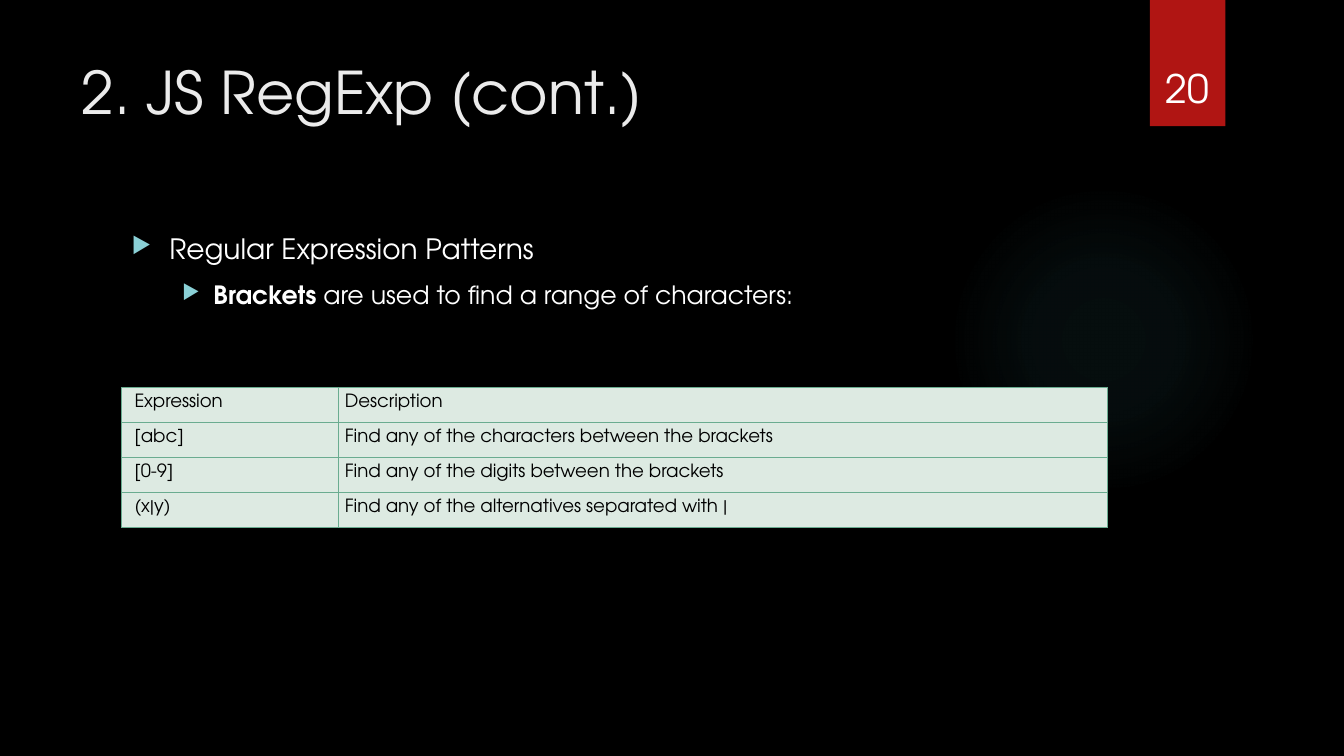
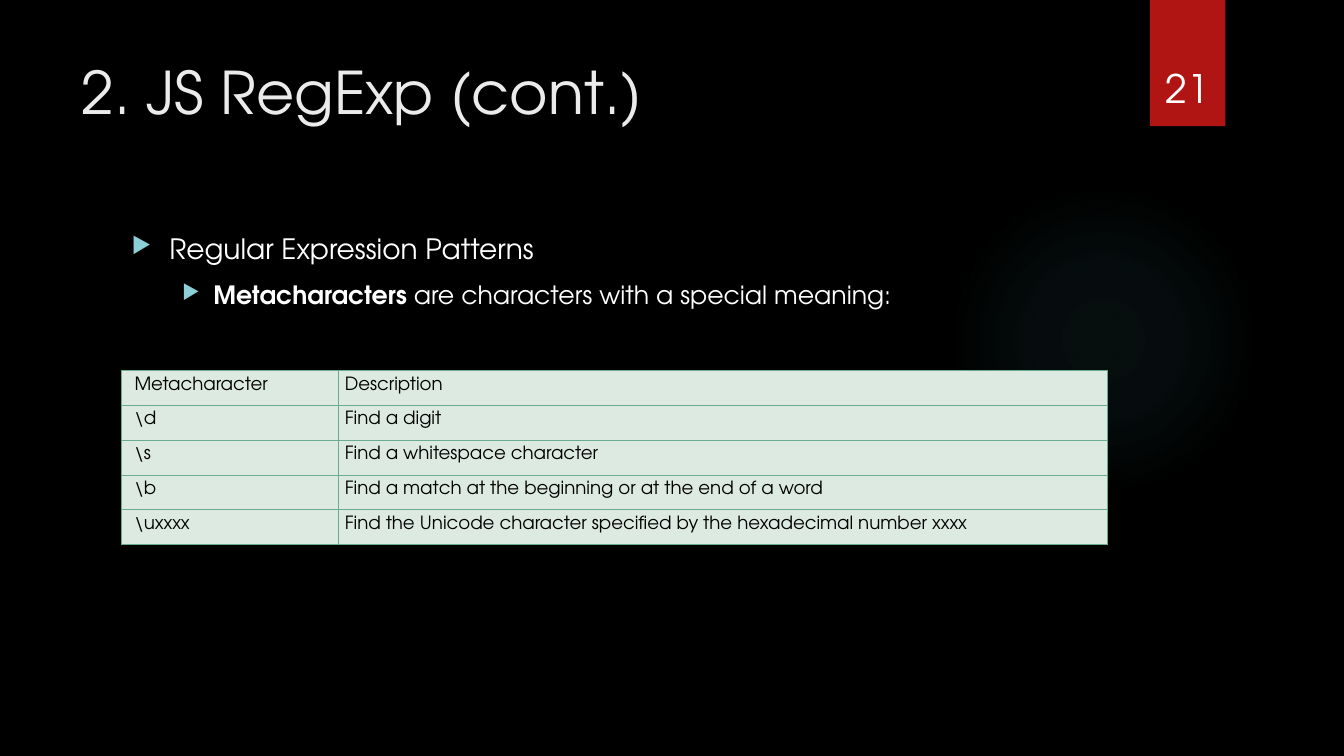
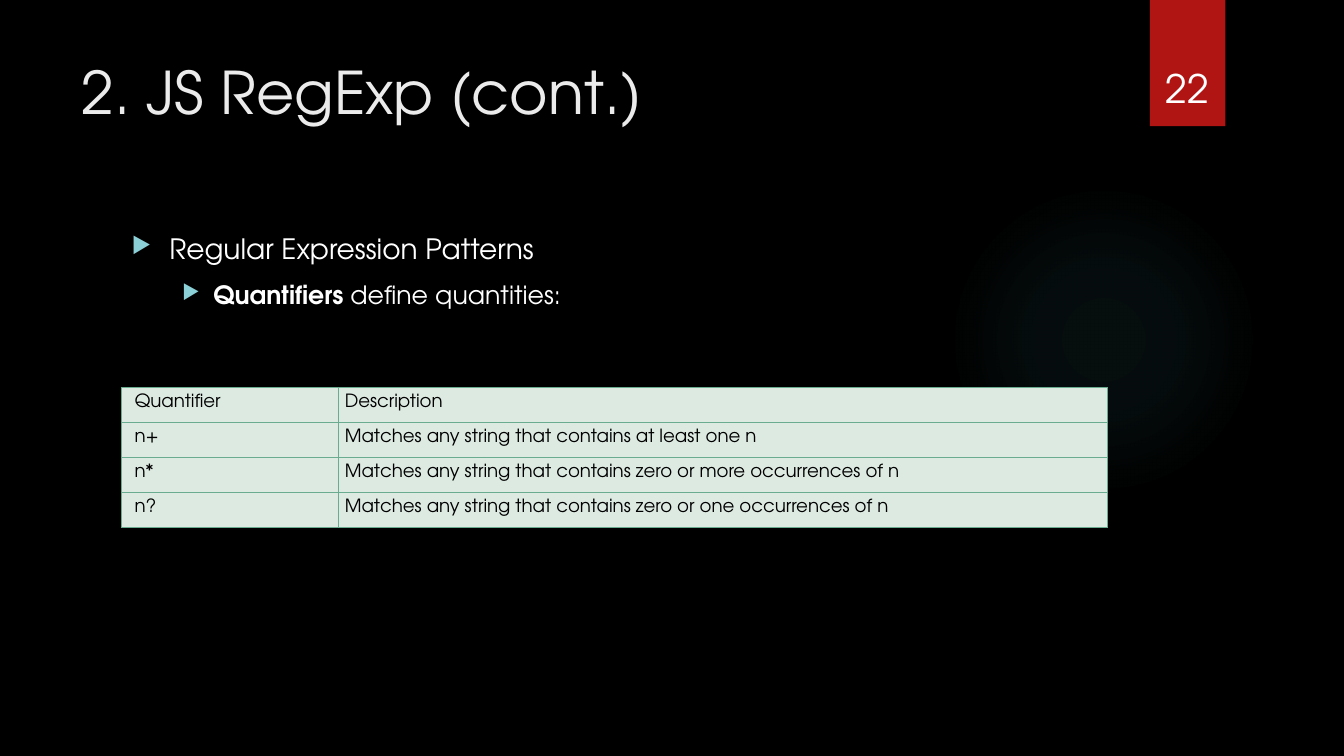
from lxml import etree
from pptx import Presentation
from pptx.dml.color import RGBColor
from pptx.enum import shapes, text
from pptx.oxml import parse_xml
from pptx.oxml import ns
from pptx.util import Cm, Pt

FONT = "TeX Gyre Adventor"
BLACK = RGBColor(0x00, 0x00, 0x00)
WHITE = RGBColor(0xFF, 0xFF, 0xFF)
TITLE_GREY = RGBColor(0xEB, 0xEB, 0xEB)
BADGE_RED = RGBColor(0xB0, 0x15, 0x13)
GLOW_TEAL = RGBColor(0x50, 0xB9, 0xC1)
BULLET_TEAL = RGBColor(0x8A, 0xD0, 0xD6)
CELL_MINT = RGBColor(0xDD, 0xEA, 0xE2)
BORDER_GREEN = RGBColor(0x6A, 0xAC, 0x90)

TITLE = "2. JS RegExp (cont.)"
TOPIC = "Regular Expression Patterns"
FIRST_NUMBER = 20
CONTENT_LEFT, CONTENT_WIDTH = Cm(3.07), Cm(24.84)
TABLE_MIDDLE = Cm(11.53)
ROW_HEIGHT = Cm(0.88)
COLUMN_WIDTHS = (Cm(5.46), Cm(19.38))
CELL_INSET = Cm(0.16)
FIRST_COLUMN_INSET = Cm(0.32)

# Each page: bold term, rest of the sentence, table rows
PAGES = [
    ("Brackets", " are used to find a range of characters:", [
        ("Expression", "Description"),
        ("[abc]", "Find any of the characters between the brackets"),
        ("[0-9]", "Find any of the digits between the brackets"),
        ("(x|y)", "Find any of the alternatives separated with |"),
    ]),
    ("Metacharacters", " are characters with a special meaning:", [
        ("Metacharacter", "Description"),
        (r"\d", "Find a digit"),
        (r"\s", "Find a whitespace character"),
        (r"\b", "Find a match at the beginning or at the end of a word"),
        (r"\uxxxx", "Find the Unicode character specified by the hexadecimal number xxxx"),
    ]),
    ("Quantifiers", " define quantities:", [
        ("Quantifier", "Description"),
        ("n+", "Matches any string that contains at least one n"),
        ("n*", "Matches any string that contains zero or more occurrences of n"),
        ("n?", "Matches any string that contains zero or one occurrences of n"),
    ]),
]


def drawing(markup):
    """Parse DrawingML whose root element carries the a: prefix."""
    head, gap, rest = markup.partition(" ")
    return parse_xml(f"{head} {ns.nsdecls('a')}{gap}{rest}")


def style_font(para, size, color):
    para.font.name = FONT
    para.font.size = Pt(size)
    para.font.color.rgb = color


def add_plain_shape(page, kind, left, top, width, height):
    shape = page.shapes.add_shape(kind, left, top, width, height)
    shape.shadow.inherit = False
    shape.line.fill.background()
    return shape


def add_glow(page):
    """Add the faint radial light on the right."""
    glow = add_plain_shape(page, shapes.MSO_SHAPE.OVAL,
                           Cm(23.9), Cm(4.65), Cm(7.82), Cm(7.82))
    glow.fill.background()
    stops = "".join(
        f'<a:gs pos="{position * 1000}"><a:srgbClr val="{GLOW_TEAL}">'
        f'<a:alpha val="{alpha * 1000}"/></a:srgbClr></a:gs>'
        for position, alpha in ((0, 7), (36, 6), (69, 0), (100, 0)))
    gradient = drawing(
        f'<a:gradFill rotWithShape="1"><a:gsLst>{stops}</a:gsLst>'
        '<a:path path="circle"><a:fillToRect l="50000" t="50000" r="50000" b="50000"/>'
        '</a:path></a:gradFill>')
    properties = glow._element.spPr
    properties.replace(properties.find(ns.qn("a:noFill")), gradient)


def add_badge(page, number):
    """Add the red tab with the page number."""
    tab = add_plain_shape(page, shapes.MSO_SHAPE.RECTANGLE,
                          Cm(28.98), 0, Cm(1.9), Cm(3.18))
    tab.fill.solid()
    tab.fill.fore_color.rgb = BADGE_RED
    effects = tab._element.spPr.find(ns.qn("a:effectLst"))
    effects.append(drawing(
        f'<a:outerShdw blurRad="{Pt(3)}" dist="{Pt(2)}" dir="5400000" rotWithShape="0">'
        f'<a:srgbClr val="{BLACK}"><a:alpha val="45000"/></a:srgbClr></a:outerShdw>'))

    box = page.shapes.add_textbox(Cm(28.75), Cm(0.81), Cm(2.34), Cm(2.13))
    box.text_frame.word_wrap = True
    box.text_frame.vertical_anchor = text.MSO_ANCHOR.BOTTOM
    para = box.text_frame.paragraphs[0]
    para.text = str(number)
    para.alignment = text.PP_ALIGN.CENTER
    style_font(para, 28, WHITE)


def set_title(page):
    title = page.shapes.title
    title.left, title.top, title.width, title.height = Cm(1.8), Cm(1.27), Cm(26.14), Cm(3.89)
    frame = title.text_frame
    frame.text = TITLE
    frame.vertical_anchor = text.MSO_ANCHOR.TOP
    para = frame.paragraphs[0]
    para.alignment = text.PP_ALIGN.LEFT
    style_font(para, 42, TITLE_GREY)


def format_bullet(para, level, size, margin, hanging):
    para.level = level
    para.space_before = Pt(10)
    style_font(para, size, WHITE)
    properties = para._p.get_or_add_pPr()
    properties.set("marL", str(margin))
    properties.set("indent", str(-hanging))
    # Bullet elements must precede the default run properties
    default_run = properties.find(ns.qn("a:defRPr"))
    for markup in (f'<a:buClr ><a:srgbClr val="{BULLET_TEAL}"/></a:buClr>',
                   '<a:buSzPct val="80000"/>',
                   '<a:buChar char="▶"/>'):
        default_run.addprevious(drawing(markup))


def add_bullets(page, term, rest):
    box = page.shapes.add_textbox(CONTENT_LEFT, Cm(5.72), CONTENT_WIDTH, Cm(11.66))
    frame = box.text_frame
    frame.word_wrap = True
    topic = frame.paragraphs[0]
    topic.text = TOPIC
    format_bullet(topic, 0, 20, Cm(0.95), Cm(0.95))
    detail = frame.add_paragraph()
    for words, bold in ((term, True), (rest, False)):
        span = detail.add_run()
        span.text = words
        span.font.bold = bold
    format_bullet(detail, 1, 18, Cm(2.06), Cm(0.79))


def add_borders(cell):
    properties = cell._tc.get_or_add_tcPr()
    for side in ("lnL", "lnR", "lnT", "lnB"):
        line = etree.SubElement(properties, ns.qn(f"a:{side}"), w=str(Pt(0.75)))
        fill = etree.SubElement(line, ns.qn("a:solidFill"))
        etree.SubElement(fill, ns.qn("a:srgbClr"), val=str(BORDER_GREEN))


def fill_cell(cell, words, left_inset):
    cell.margin_left = left_inset
    cell.margin_right = cell.margin_top = cell.margin_bottom = CELL_INSET
    add_borders(cell)
    cell.fill.solid()
    cell.fill.fore_color.rgb = CELL_MINT
    cell.text = words
    style_font(cell.text_frame.paragraphs[0], 13, BLACK)


def add_pattern_table(page, rows):
    """Add a two-column table centred on the shared middle height."""
    height = ROW_HEIGHT * len(rows)
    table = page.shapes.add_table(len(rows), len(COLUMN_WIDTHS), CONTENT_LEFT,
                                  TABLE_MIDDLE - height // 2, CONTENT_WIDTH, height).table
    table.first_row = table.horz_banding = False
    for column, width in zip(table.columns, COLUMN_WIDTHS):
        column.width = width
    for row, entries in zip(table.rows, rows):
        row.height = ROW_HEIGHT
        for cell, words, inset in zip(row.cells, entries, (FIRST_COLUMN_INSET, CELL_INSET)):
            fill_cell(cell, words, inset)


def main():
    deck = Presentation()
    deck.slide_width, deck.slide_height = Cm(33.87), Cm(19.05)
    backdrop = deck.slide_master.background.fill
    backdrop.solid()
    backdrop.fore_color.rgb = BLACK
    title_only = deck.slide_layouts[5]
    for number, (term, rest, rows) in enumerate(PAGES, FIRST_NUMBER):
        page = deck.slides.add_slide(title_only)
        add_glow(page)
        set_title(page)
        add_bullets(page, term, rest)
        add_badge(page, number)
        add_pattern_table(page, rows)
    deck.save("out.pptx")


if __name__ == "__main__":
    main()
